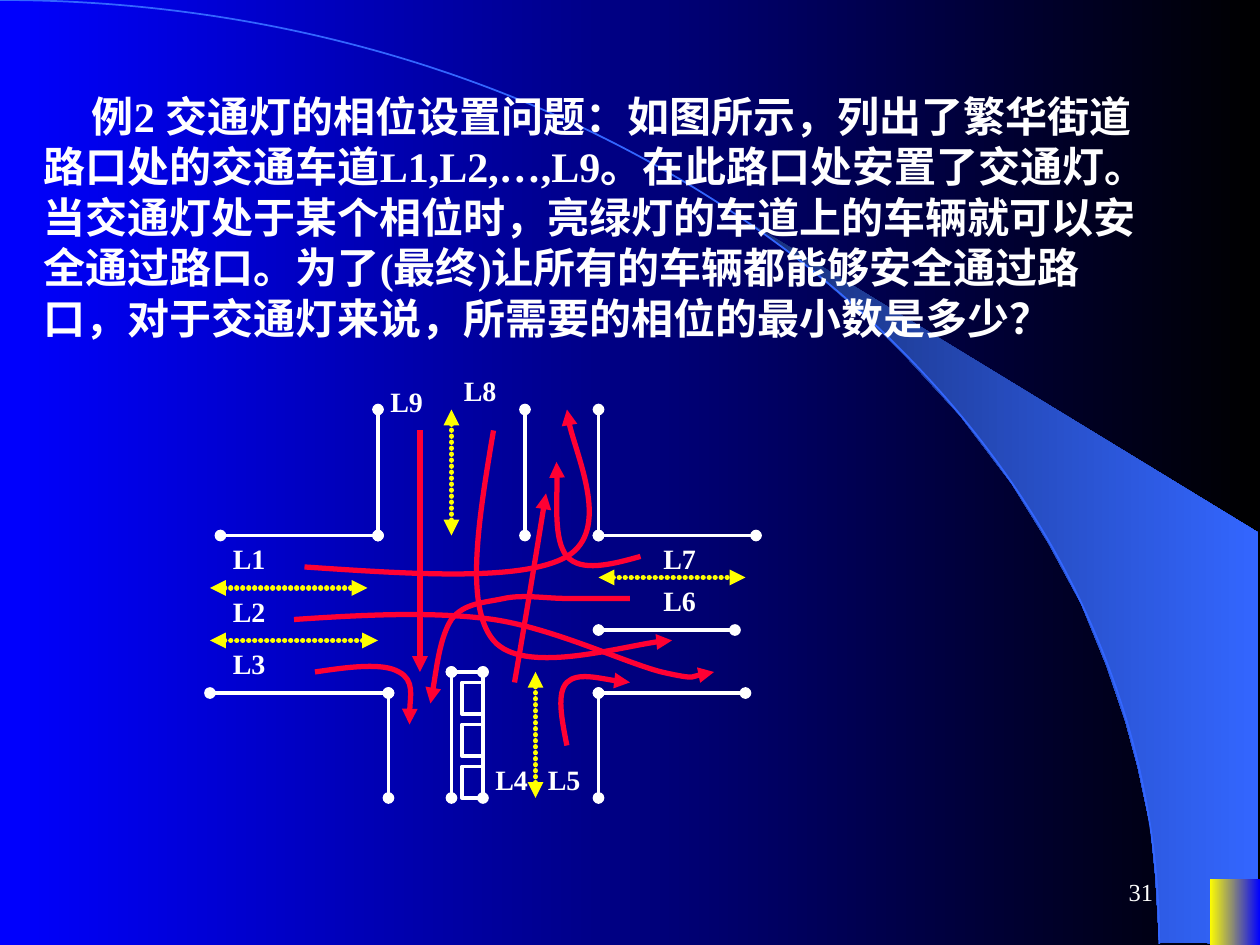
from lxml.etree import SubElement
from pptx import Presentation
from pptx.dml.color import RGBColor
from pptx.enum.shapes import MSO_CONNECTOR, MSO_SHAPE
from pptx.enum.text import MSO_ANCHOR, MSO_AUTO_SIZE, PP_ALIGN
from pptx.oxml.ns import qn
from pptx.util import Inches, Pt

COLORS = {
    "white": "FFFFFF", "yellow": "FFFF00", "red": "FF0033", "blue": "0000FF",
    "black": "000000", "sky": "3366FF", "navy": "182F76",
}
FONT = "Times New Roman"
CELL = 1 / 12  # grid step of the crossing, in inches

QUESTION = (
    "例2 交通灯的相位设置问题：如图所示，列出了繁华街道路口处的交通车道"
    "L1,L2,…,L9。在此路口处安置了交通灯。当交通灯处于某个相位时，"
    "亮绿灯的车道上的车辆就可以安全通过路口。为了(最终)让所有的车辆都能够安全通过路口，"
    "对于交通灯来说，所需要的相位的最小数是多少？"
)

# Crossing data, in grid cells from its top left corner
CURBS = [
    (16, 4, 16, 16), (1, 16, 16, 16), (0, 31, 17, 31), (17, 31, 17, 41),
    (30, 4, 30, 16), (37, 4, 37, 16), (37, 16, 52, 16), (37, 25, 50, 25),
    (37, 31, 51, 31), (37, 31, 37, 41),
    (23, 29, 23, 41), (23, 29, 26, 29), (26, 29, 26, 41),
]
DIVIDERS = [
    (0, 21, 15, 21), (0, 26, 16, 26), (23, 4, 23, 16),
    (37, 20, 51, 20), (31, 29, 31, 41),
]
LANE_LABELS = {
    "L1": (1, 16), "L2": (1, 21), "L3": (1, 26), "L4": (26, 37), "L5": (31, 37),
    "L6": (42, 20), "L7": (42, 16), "L8": (23, 0), "L9": (16, 1),
}
STRAIGHT_LANE = (20, 6, 20, 29)
# Each lane: a start point, then three Bezier points for each segment
CURVED_LANES = [
    [(8, 24), (14.56, 23.56), (21.16, 23.2), (27, 24), (32.8, 24.88), (39.5, 28.1),
     (43, 29), (46.5, 29.8), (47.2, 29), (48, 29)],
    [(10, 29), (13.3, 28.5), (16.5, 28.1), (18, 29), (19.5, 29.8), (18.9, 33.2), (19, 34)],
    [(40, 22), (38, 22), (36, 22), (34, 22), (32, 22), (29.8, 21.6), (28, 22),
     (26.2, 22.4), (24.2, 22.4), (23, 24), (21.9, 25.7), (21.3, 30.6), (21, 32)],
    [(34, 36), (33.5, 33.5), (33, 31), (34, 30), (35, 29), (39, 30), (40, 30)],
    [(27, 6), (25.6, 14.3), (24.2, 22.7), (27, 26), (29.8, 29.3), (41.2, 26), (44, 26)],
    [(41, 18), (38.2, 18.8), (35.3, 19.5), (34, 18), (32.7, 16.5), (33.2, 10.5), (33, 9)],
    [(29, 30), (30.3, 22.5), (31.5, 15), (32, 12)],
    [(9, 19), (19.4, 19.7), (29.8, 20.4), (34, 18), (38.2, 15.5), (34, 6.3), (34, 4)],
]
WEDGE = [
    (9.2, 7.48), (9.99, 7.49), (9.99, 4.23), (5.89, 1.73), (6.24, 1.99), (6.53, 2.22),
    (6.85, 2.5), (7.16, 2.8), (7.62, 3.3), (8.03, 3.84), (8.32, 4.31), (8.58, 4.79),
    (8.78, 5.28), (8.93, 5.72), (9.03, 6.09), (9.13, 6.56), (9.17, 6.96),
]
ARC = [(0, 0), (5.08, 0), (9.2, 3.35), (9.2, 7.49)]


def rgb(name):
    return RGBColor.from_string(COLORS[name])


def set_gradient(fill, first, last):
    fill.gradient()
    fill.gradient_angle = 0
    for stop, name in zip(fill.gradient_stops, (first, last)):
        stop.color.rgb = rgb(name)


def style_line(line, color, width, head=None, tail=None, dotted=False):
    line.color.rgb = rgb(color)
    line.width = Pt(width)
    ln = line._get_or_add_ln()
    if dotted:
        ln.set("cap", "rnd")
        dash = SubElement(ln, qn("a:custDash"))
        SubElement(dash, qn("a:ds"), d="100000", sp="14000")
    for tag, kind in (("a:headEnd", head), ("a:tailEnd", tail)):
        if kind:
            SubElement(ln, qn(tag), type=kind)


def add_text(shapes, text, x, y, w, h, size=16, bold=True, align=PP_ALIGN.LEFT,
             anchor=MSO_ANCHOR.TOP, indent=0, grow=True):
    tf = shapes.add_textbox(Inches(x), Inches(y), Inches(w), Inches(h)).text_frame
    tf.word_wrap = True
    tf.vertical_anchor = anchor
    if grow:
        tf.auto_size = MSO_AUTO_SIZE.SHAPE_TO_FIT_TEXT
    p = tf.paragraphs[0]
    p.alignment = align
    pPr = p._p.get_or_add_pPr()
    pPr.set("hangingPunct", "0")
    if indent:
        pPr.set("indent", str(Inches(indent)))
    r = p.add_run()
    r.text = text
    r.font.name, r.font.size, r.font.bold = FONT, Pt(size), bold
    r.font.color.rgb = rgb("white")


def add_line(shapes, x1, y1, x2, y2, **style):
    line = shapes.add_connector(
        MSO_CONNECTOR.STRAIGHT, Inches(x1), Inches(y1), Inches(x2), Inches(y2))
    style_line(line.line, **style)
    SubElement(line._element.spPr, qn("a:effectLst"))


def add_outline(shapes, points, close=False):
    start, *rest = [(Inches(x), Inches(y)) for x, y in points]
    builder = shapes.build_freeform(*start)
    builder.add_line_segments(rest, close=close)
    sp = builder.convert_to_shape()
    sp.shadow.inherit = False
    return sp


def add_curve(shapes, points, **style):
    """Draw a Bezier path: each three points after the start make one segment."""
    sp = add_outline(shapes, points)
    steps = list(sp._element.iter(qn("a:lnTo")))
    for i in range(0, len(steps), 3):
        curve = SubElement(steps[i].getparent(), qn("a:cubicBezTo"))
        for step in steps[i:i + 3]:
            curve.append(step[0])
            step.getparent().remove(step)
    sp.fill.background()
    style_line(sp.line, **style)


def add_rect(shapes, x, y, w, h):
    sp = shapes.add_shape(MSO_SHAPE.RECTANGLE, Inches(x), Inches(y), Inches(w), Inches(h))
    sp.shadow.inherit = False
    return sp


def draw_backdrop(s, x, y, w, h):
    set_gradient(s.background.fill, "blue", "black")
    wedge = add_outline(s.shapes, [(x + px, y + py) for px, py in WEDGE], close=True)
    set_gradient(wedge.fill, "navy", "sky")
    wedge.line.fill.background()
    add_curve(s.shapes, [(x + px, y + py) for px, py in ARC], color="sky", width=1)
    corner = add_rect(s.shapes, x + w - 0.4, y + h - 0.52, 0.4, 0.52)
    set_gradient(corner.fill, "yellow", "blue")
    corner.line.fill.background()


def draw_crossing(s, x, y):
    shapes = s.shapes.add_group_shape().shapes

    def place(*cells):
        """Turn x, y pairs of grid cells into slide inches."""
        return [(x, y)[i % 2] + c * CELL for i, c in enumerate(cells)]

    for curb in CURBS:
        add_line(shapes, *place(*curb), color="white", width=2.25, head="oval", tail="oval")
    for divider in DIVIDERS:
        add_line(shapes, *place(*divider), color="yellow", width=3,
                 head="triangle", tail="triangle", dotted=True)
    for row in (30, 34, 38):
        block = add_rect(shapes, *place(24, row), 2 * CELL, 3 * CELL)
        block.fill.background()
        style_line(block.line, "white", 2.25)
    for label, cell in LANE_LABELS.items():
        add_text(shapes, label, *place(*cell), 0.6, 0.37)
    lane_style = dict(color="red", width=3, tail="triangle")
    add_line(shapes, *place(*STRAIGHT_LANE), **lane_style)
    for lane in CURVED_LANES:
        add_curve(shapes, [place(*point) for point in lane], **lane_style)


def main():
    prs = Presentation()
    prs.slide_width, prs.slide_height = Inches(10), Inches(7.5)
    s = prs.slides.add_slide(prs.slide_layouts[6])
    draw_backdrop(s, 0, 0, 10, 7.5)
    add_text(s.shapes, "31", 7.17, 6.83, 2.08, 0.5, size=14, bold=False,
             align=PP_ALIGN.RIGHT, anchor=MSO_ANCHOR.MIDDLE, grow=False)
    add_text(s.shapes, QUESTION, 0.25, 0.67, 9.08, 2.1, size=24, indent=0.38)
    draw_crossing(s, 20 * CELL, 35 * CELL)
    prs.save("out.pptx")


if __name__ == "__main__":
    main()
